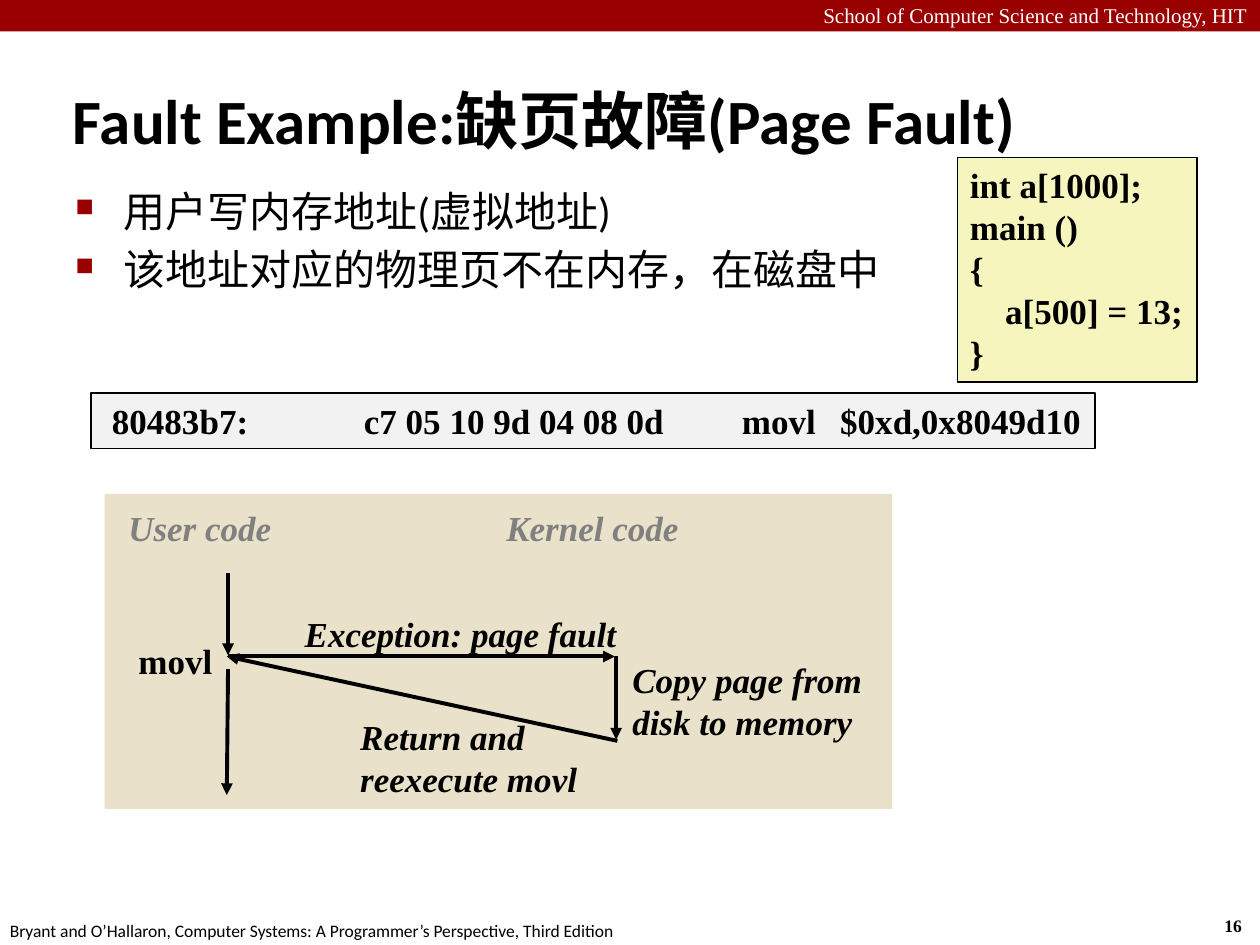
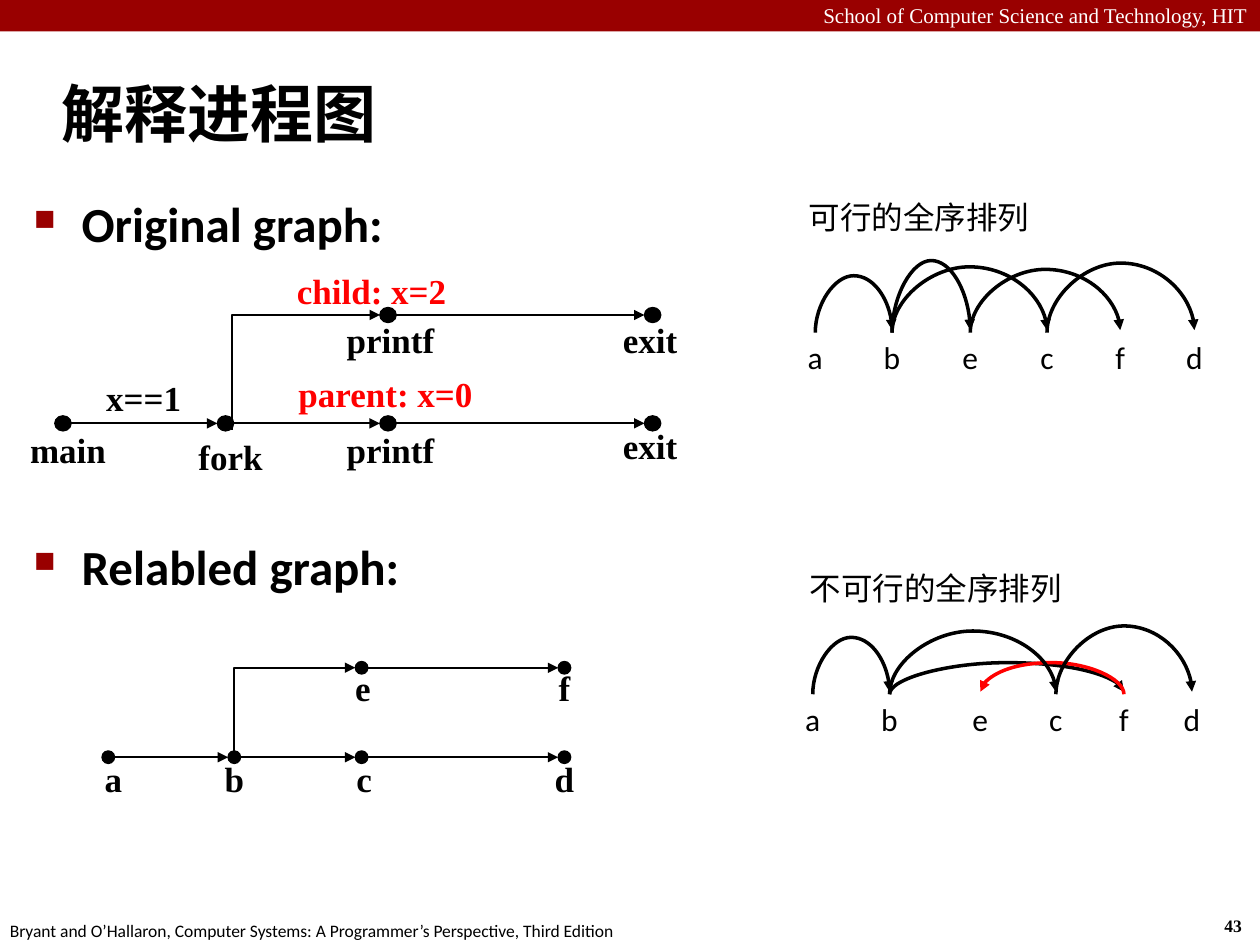
"""Build two lecture slides: a page fault example and process graph orderings."""
from lxml import etree
from pptx import Presentation
from pptx import util as u
from pptx.dml.color import RGBColor
from pptx.enum import shapes, text
from pptx.oxml.ns import qn

BLACK, WHITE, RED, CRIMSON, GRAY = "000000", "FFFFFF", "FF0000", "990000", "808080"
SERIF, SANS = "Times New Roman", "Calibri"
LEFT, CENTER, RIGHT = text.PP_ALIGN.LEFT, text.PP_ALIGN.CENTER, text.PP_ALIGN.RIGHT
TOP, MIDDLE = text.MSO_ANCHOR.TOP, text.MSO_ANCHOR.MIDDLE
RECT, OVAL = shapes.MSO_SHAPE.RECTANGLE, shapes.MSO_SHAPE.OVAL
STRAIGHT, ELBOW, CURVE = (shapes.MSO_CONNECTOR.STRAIGHT, shapes.MSO_CONNECTOR.ELBOW,
                          shapes.MSO_CONNECTOR.CURVE)
TITLE = {"size": 36, "name": SANS, "bold": True, "anchor": MIDDLE}
PLAIN = {"size": 18, "name": SANS, "bold": False}


def write(page, at, lines, fill=None, color=BLACK, size=20, name=SERIF, bold=True,
          italic=False, align=LEFT, wrap=True, anchor=TOP):
    """Place lines of text in a text box, or in an outlined box when filled."""
    at = [u.Inches(length) for length in at]
    if fill:
        box = page.shapes.add_shape(RECT, *at)
        box.shadow.inherit = False
        box.fill.solid()
        box.fill.fore_color.rgb = RGBColor.from_string(fill)
        box.line.color.rgb = RGBColor.from_string(BLACK)
        box.line.width = u.Pt(1)
    else:
        box = page.shapes.add_textbox(*at)
    frame = box.text_frame
    frame.word_wrap = wrap
    frame.vertical_anchor = anchor
    for index, line in enumerate(lines):
        para = frame.paragraphs[0] if index == 0 else frame.add_paragraph()
        para.alignment = align
        span = para.add_run()
        span.text = line
        font = {"size": u.Pt(size), "name": name, "bold": bold, "italic": italic}
        for key, value in font.items():
            setattr(span.font, key, value)
        span.font.color.rgb = RGBColor.from_string(color)
    return frame.paragraphs


def connect(page, kind, start, end, width, color=BLACK, rise=0):
    """Draw an arrow; elbows and curves leave their start upwards."""
    (x0, y0), (x1, y1) = start, end
    side = 1 if x1 > x0 else -1
    if kind != STRAIGHT:
        middle_x, middle_y = (x0 + x1) / 2, (y0 + y1) / 2
        half_w, half_h = side * (y0 - y1) / 2, abs(x1 - x0) / 2
        x0, y0 = middle_x + half_w, middle_y + half_h
        x1, y1 = middle_x - half_w, middle_y - half_h
    arrow = page.shapes.add_connector(kind, *[u.Inches(v) for v in (x0, y0, x1, y1)])
    arrow.line.width = u.Pt(width)
    arrow.line.color.rgb = RGBColor.from_string(color)
    props = arrow._element.spPr
    etree.SubElement(props.find(qn("a:ln")), qn("a:tailEnd"), type="triangle")
    etree.SubElement(props, qn("a:effectLst"))
    if kind != STRAIGHT:
        props.find(qn("a:xfrm")).set("rot", str(5400000 if side > 0 else 16200000))
        geometry = props.find(qn("a:prstGeom"))
        if kind == ELBOW:
            geometry.set("prst", "bentConnector2")
        else:
            ratio = round(rise / (start[1] - end[1]) * 100000)
            guides = geometry.find(qn("a:avLst"))
            etree.SubElement(guides, qn("a:gd"), name="adj1", fmla=f"val {ratio}")


deck = Presentation()
deck.slide_width, deck.slide_height = u.Inches(10), u.Inches(7.5)
pages = []
for number in ("16", "43"):
    page = deck.slides.add_slide(deck.slide_layouts[6])
    band = page.shapes.add_shape(RECT, 0, 0, deck.slide_width, u.Inches(0.25))
    band.shadow.inherit = False
    band.fill.solid()
    band.fill.fore_color.rgb = RGBColor.from_string(CRIMSON)
    band.line.fill.background()
    write(page, (0, -0.03, 10, 0.3), ["School of Computer Science and Technology, HIT"],
          color=WHITE, size=12, bold=False, align=RIGHT)
    write(page, (9.62, 7.21, 0.37, 0.27), [number], size=10, wrap=False)
    write(page, (-0.02, 7.25, 5.08, 0.27),
          ["Bryant and O’Hallaron, Computer Systems: A Programmer’s Perspective, Third Edition"],
          size=10, name=SANS, bold=False, wrap=False)
    pages.append(page)
fault, graphs = pages

panel = fault.shapes.add_shape(RECT, *[u.Inches(v) for v in (0.83, 3.92, 6.25, 2.5)])
panel.shadow.inherit = False
panel.fill.solid()
panel.fill.fore_color.rgb = RGBColor.from_string("E9E1C9")
panel.line.fill.background()

write(fault, (0.48, 0.64, 8.9, 0.61), ["Fault Example:缺页故障(Page Fault)"], **TITLE)
write(graphs, (0.39, 0.48, 8.86, 0.83), ["解释进程图"], **TITLE)
facts = write(fault, (0.5, 1.42, 8.92, 1.17),
              ["用户写内存地址(虚拟地址)", "该地址对应的物理页不在内存，在磁盘中"],
              size=24, name=SANS, bold=False)
headings = write(graphs, (0.17, 1.49, 5.14, 4.26),
                 ["Original graph:", "Relabled graph:"], size=28, name=SANS)
for para, gap in zip(facts + headings, (4.8, 4.8, 5.6, 162)):
    para.space_before = u.Pt(gap)
    props = para._p.get_or_add_pPr()
    props.set("marL", str(u.Inches(0.38)))
    props.set("indent", str(-u.Inches(0.38)))
    tint = etree.SubElement(props, qn("a:buClr"))
    etree.SubElement(tint, qn("a:srgbClr"), val=CRIMSON)
    etree.SubElement(props, qn("a:buSzPct"), val="60000")
    etree.SubElement(props, qn("a:buChar"), char="■")

code = write(fault, (7.6, 1.25, 1.9, 1.78),
             ["int a[1000];", "main ()", "{", "a[500] = 13;", "}"],
             fill="F6F5BD", wrap=False)
code[3]._p.get_or_add_pPr().set("marL", str(u.Inches(0.28)))
machine = write(fault, (0.72, 3.12, 7.97, 0.44),
                ["80483b7:\tc7 05 10 9d 04 08 0d\tmovl\t$0xd,0x8049d10"],
                fill="F2F2F2", wrap=False)
props = machine[0]._p.get_or_add_pPr()
props.set("marL", str(u.Inches(0.07)))
stops = etree.SubElement(props, qn("a:tabLst"))
for stop in (2, 5, 5.78):
    etree.SubElement(stops, qn("a:tab"), pos=str(u.Inches(stop)), algn="l")

for label, at, color in (
        ("User code", (0.92, 3.97, 1.34, 0.43), GRAY),
        ("Kernel code", (3.92, 3.97, 1.58, 0.43), GRAY),
        ("Exception: page fault", (2.32, 4.81, 2.75, 0.43), BLACK),
        ("Copy page from disk to memory", (4.92, 5.18, 2.16, 0.77), BLACK),
        ("Return and reexecute movl", (2.76, 5.63, 1.99, 0.77), BLACK)):
    write(fault, at, [label], color=color, italic=True)
write(fault, (1, 5.03, 0.99, 0.44), ["movl"])
for start, end in (((1.81, 4.55), (1.81, 5.2)), ((1.81, 5.21), (4.88, 5.21)),
                   ((4.89, 5.21), (4.89, 5.87)), ((4.9, 5.88), (1.8, 5.21)),
                   ((1.81, 5.31), (1.8, 6.31))):
    connect(fault, STRAIGHT, start, end, 2.25)

process_graphs = (
    {"dot": (0.13, 0.12), "low": 3.36, "high": 2.5, "columns": (0.5, 1.79, 3.08, 5.18),
     "labels": (("child: x=2", 2.95, 2.09, RED), ("parent: x=0", 3.06, 2.91, RED),
                ("x==1", 1.14, 2.94, BLACK), ("main", 0.54, 3.35, BLACK),
                ("fork", 1.83, 3.41, BLACK), ("printf", 3.1, 3.35, BLACK),
                ("printf", 3.1, 2.48, BLACK), ("exit", 5.16, 2.48, BLACK),
                ("exit", 5.16, 3.32, BLACK)), "bend": (1.84, 3.41)},
    {"dot": (0.1, 0.1), "low": 6.01, "high": 5.3, "columns": (0.86, 1.86, 2.87, 4.48),
     "labels": (("a", 0.9, 5.96, BLACK), ("b", 1.86, 5.96, BLACK),
                ("c", 2.89, 5.96, BLACK), ("d", 4.48, 5.96, BLACK),
                ("e", 2.88, 5.24, BLACK), ("f", 4.48, 5.24, BLACK)),
     "bend": (1.86, 5.96)})
for graph in process_graphs:
    wide, tall = graph["dot"]
    low, high, columns = graph["low"], graph["high"], graph["columns"]
    nodes = [(x, low) for x in columns] + [(x, high) for x in columns[2:]]
    for x, y in nodes:
        dot = graphs.shapes.add_shape(
            OVAL, *[u.Inches(v) for v in (x - wide / 2, y - tall / 2, wide, tall)])
        dot.shadow.inherit = False
        dot.fill.solid()
        dot.fill.fore_color.rgb = RGBColor.from_string(BLACK)
        dot.line.color.rgb = RGBColor.from_string(BLACK)
        dot.line.width = u.Pt(0.75)
    for tail, head in ((0, 1), (1, 2), (2, 3), (4, 5)):
        connect(graphs, STRAIGHT, (nodes[tail][0] + wide / 2, nodes[tail][1]),
                (nodes[head][0] - wide / 2, nodes[head][1]), 1)
    connect(graphs, ELBOW, graph["bend"], (columns[2] - wide / 2, high), 1)
    for label, x, y, color in graph["labels"]:
        write(graphs, (x - 1, y, 2, 0.44), [label], color=color, align=CENTER)

orderings = (
    ("可行的全序排列", (6.32, 1.52, 1.97, 0.4), 2.64, 2.63,
     {"a": 6.47, "b": 7.08, "e": 7.7, "c": 8.31, "f": 8.89, "d": 9.48},
     (("ab", 0.45), ("be", 0.57), ("ef", 0.5), ("bc", 0.52), ("cd", 0.55))),
    ("不可行的全序排列", (6.33, 4.47, 2.22, 0.4), 5.51, 5.51,
     {"a": 6.45, "b": 7.06, "e": 7.78, "c": 8.38, "f": 8.92, "d": 9.46},
     (("ab", 0.45), ("bf", 0.25), ("fe", 0.25), ("bc", 0.5), ("cd", 0.54))))
for caption, at, base, label_top, letters, arcs in orderings:
    write(graphs, at, [caption], wrap=False, **PLAIN)
    for letter, x in letters.items():
        write(graphs, (x - 0.2, label_top, 0.4, 0.4), [letter], align=CENTER, **PLAIN)
    for (tail, head), rise in arcs:
        backward = letters[head] < letters[tail]
        connect(graphs, CURVE, (letters[tail], base), (letters[head], base - 0.02), 2,
                color=RED if backward else BLACK, rise=rise)

deck.save("out.pptx")
